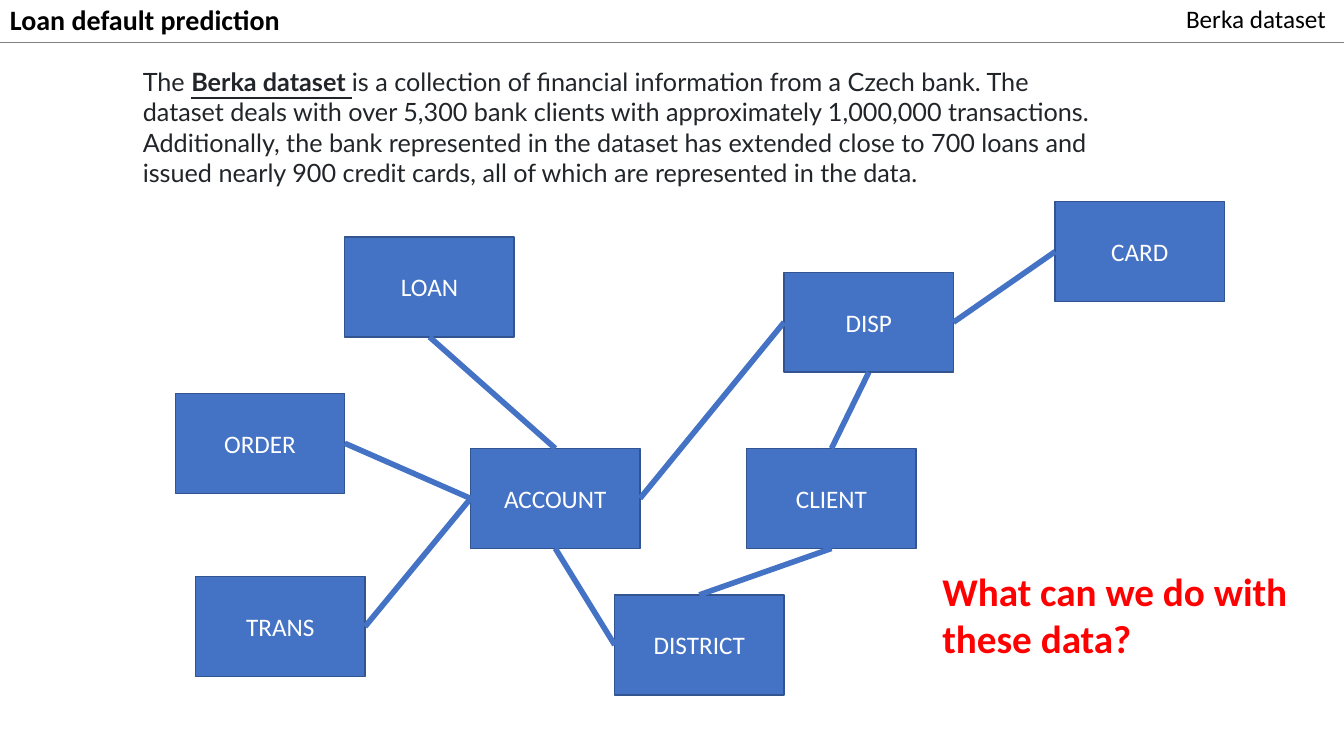
from lxml import etree
from pptx import Presentation
from pptx.dml.color import RGBColor
from pptx.enum.shapes import MSO_CONNECTOR, MSO_SHAPE
from pptx.enum.text import MSO_ANCHOR, MSO_AUTO_SIZE, PP_ALIGN
from pptx.oxml.ns import qn
from pptx.util import Cm, Pt

SLIDE_W, SLIDE_H = 33.87, 19.05
TABLE_W, TABLE_H = 4.27, 2.52
BLUE, DARK_BLUE, GREY = "4472C4", "325491", "808080"
WHITE, BLACK, RED, INK = "FFFFFF", "000000", "FF0000", "212529"

# Table name: left, top in cm
TABLES = {
    "LOAN": (8.69, 5.97),
    "ORDER": (4.42, 9.91),
    "ACCOUNT": (11.86, 11.3),
    "CARD": (26.59, 5.08),
    "CLIENT": (18.82, 11.3),
    "DISP": (19.76, 6.86),
    "TRANS": (4.93, 14.53),
    "DISTRICT": (15.49, 14.99),
}

# Connection sites of a rectangle
TOP, LEFT, BOTTOM, RIGHT = range(4)
RELATIONS = [
    ("LOAN", BOTTOM, "ACCOUNT", TOP),
    ("ORDER", RIGHT, "ACCOUNT", LEFT),
    ("TRANS", RIGHT, "ACCOUNT", LEFT),
    ("DISTRICT", TOP, "CLIENT", BOTTOM),
    ("DISTRICT", LEFT, "ACCOUNT", BOTTOM),
    ("CLIENT", TOP, "DISP", BOTTOM),
    ("DISP", RIGHT, "CARD", LEFT),
    ("ACCOUNT", RIGHT, "DISP", LEFT),
]

INTRO = [
    "The ",
    "Berka dataset ",
    "is a collection of financial information from a Czech bank. The dataset deals "
    "with over 5,300 bank clients with approximately 1,000,000 transactions. "
    "Additionally, the bank represented in the dataset has extended close to 700 loans "
    "and issued nearly 900 credit cards, all of which are represented in the data.",
]
QUESTION = "What can we do with\nthese data?"
TITLE = "Loan default prediction"
SOURCE = "Berka dataset"


def rgb(value):
    return RGBColor.from_string(value)


def style(font, size, color, bold=False, name="Calibri"):
    font.name, font.size, font.bold = name, Pt(size), bold
    font.color.rgb = rgb(color)


def add_text(box, content, size, color, bold=False, wrap=True):
    label = slide.shapes.add_textbox(*map(Cm, box))
    frame = label.text_frame
    frame.word_wrap = wrap
    frame.auto_size = MSO_AUTO_SIZE.SHAPE_TO_FIT_TEXT
    frame.text = content
    for paragraph in frame.paragraphs:
        for run in paragraph.runs:
            style(run.font, size, color, bold)
    return frame


def add_table_box(name, left, top):
    box = slide.shapes.add_shape(
        MSO_SHAPE.RECTANGLE, Cm(left), Cm(top), Cm(TABLE_W), Cm(TABLE_H))
    box.shadow.inherit = False
    box.fill.solid()
    box.fill.fore_color.rgb = rgb(BLUE)
    box.line.color.rgb = rgb(DARK_BLUE)
    box.line.width = Pt(1)
    box.text_frame.text = name
    box.text_frame.vertical_anchor = MSO_ANCHOR.MIDDLE
    paragraph = box.text_frame.paragraphs[0]
    paragraph.alignment = PP_ALIGN.CENTER
    style(paragraph.runs[0].font, 18, WHITE)
    return box


def add_line(color, width, start=(0, 0), end=(0, 0)):
    line = slide.shapes.add_connector(
        MSO_CONNECTOR.STRAIGHT, *map(Cm, (*start, *end)))
    line.line.color.rgb = rgb(color)
    line.line.width = Pt(width)
    etree.SubElement(line._element.spPr, qn("a:effectLst"))
    return line


prs = Presentation()
prs.slide_width, prs.slide_height = Cm(SLIDE_W), Cm(SLIDE_H)
slide = prs.slides.add_slide(prs.slide_layouts[6])

intro = add_text((3.35, 1.55, 24.79, 3.33), "", 18, INK).paragraphs[0]
for part in INTRO:
    run = intro.add_run()
    run.text = part
    is_name = part.strip() == SOURCE
    style(run.font, 18, INK, is_name, "Lato")
    run.font.underline = is_name

boxes = {name: add_table_box(name, *corner) for name, corner in TABLES.items()}
for origin, origin_site, target, target_site in RELATIONS:
    relation = add_line(BLUE, 4)
    relation.begin_connect(boxes[origin], origin_site)
    relation.end_connect(boxes[target], target_site)

add_text((23.5, 14.17, 9.32, 2.64), QUESTION, 28, RED, bold=True, wrap=False)
add_line(GREY, 1, (0, 1.07), (SLIDE_W, 1.07))
add_text((0, -0.05, 13.23, 1.11), TITLE, 20, BLACK, bold=True)
add_text((29.64, -0.05, 4.06, 1.02), SOURCE, 18, BLACK, wrap=False)

prs.save("out.pptx")
